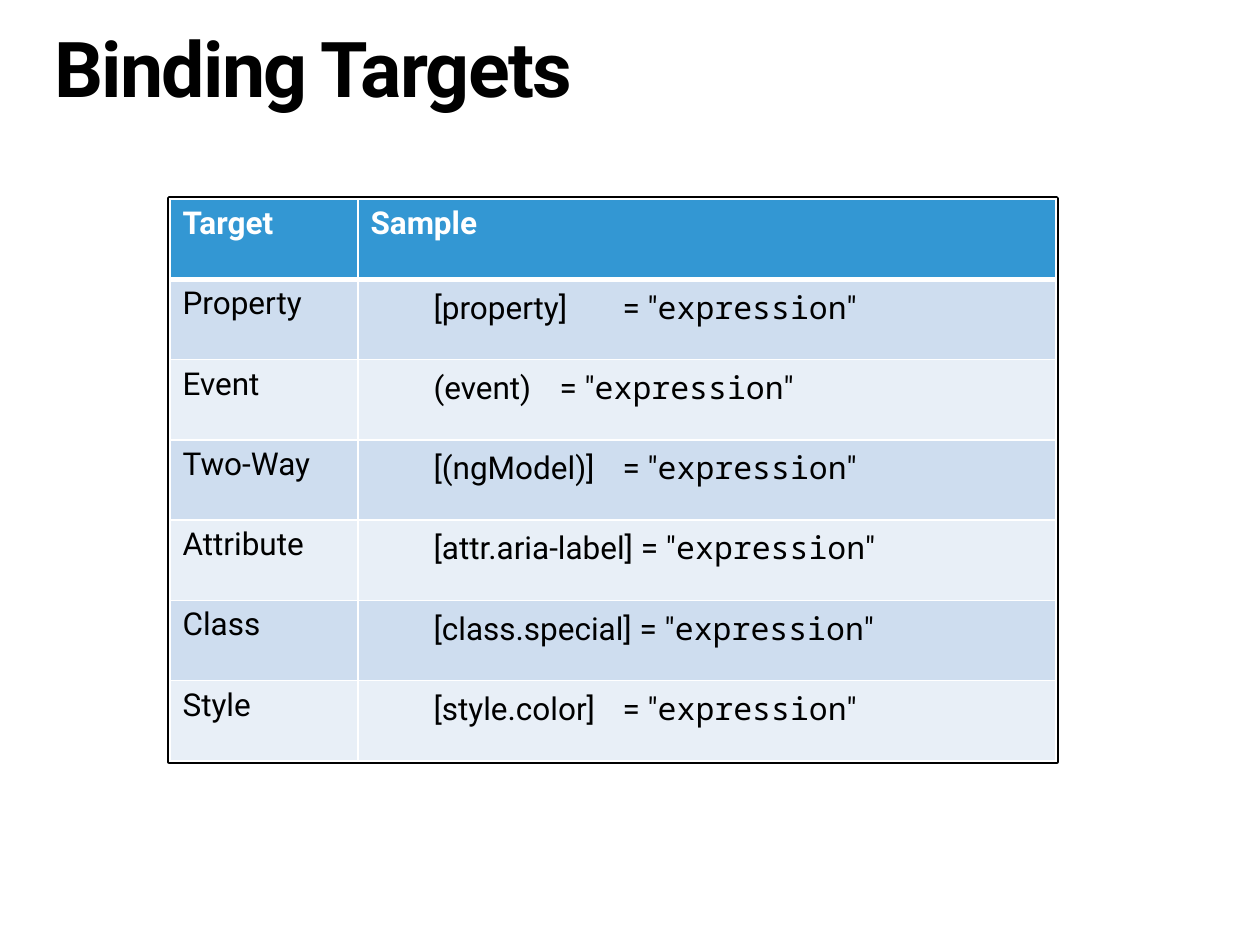
"""Build the Binding Targets slide."""
import pptx
import pptx.dml.color
import pptx.enum.shapes
import pptx.enum.text
import pptx.oxml.ns
import pptx.util
from lxml import etree

PIXELS_PER_INCH = 126
BLACK = pptx.dml.color.RGBColor(0x00, 0x00, 0x00)
WHITE = pptx.dml.color.RGBColor(0xFF, 0xFF, 0xFF)
HEADER_BLUE = pptx.dml.color.RGBColor(0x33, 0x97, 0xD3)
BAND_DARK = pptx.dml.color.RGBColor(0xCE, 0xDD, 0xEF)
BAND_LIGHT = pptx.dml.color.RGBColor(0xE8, 0xEF, 0xF7)
SANS = "Roboto"
MONO = "Noto Sans Mono"
COLUMN_WIDTHS = (188, 698)
SAMPLE_INDENT = 63
EQUALS_POSITION = 255
BINDINGS = (
    ("Property", "[property]\t"),
    ("Event", "(event)\t"),
    ("Two-Way", "[(ngModel)]\t"),
    ("Attribute", "[attr.aria-label] "),
    ("Class", "[class.special] "),
    ("Style", "[style.color]\t"),
)


def px(length):
    return pptx.util.Emu(round(length * 914400 / PIXELS_PER_INCH))


def add_child(parent, tag, **attributes):
    return etree.SubElement(parent, pptx.oxml.ns.qn(tag), attributes)


def set_font(font, size, color, bold=False):
    font.name = SANS
    font.size = pptx.util.Pt(size)
    font.bold = bold
    font.color.rgb = color


def add_title(slide, text):
    box = slide.shapes.add_textbox(px(54), px(31), px(1153), px(84))
    frame = box.text_frame
    frame.word_wrap = True
    frame.margin_left = frame.margin_right = 0
    frame.margin_top = frame.margin_bottom = 0
    frame.vertical_anchor = pptx.enum.text.MSO_ANCHOR.TOP
    paragraph = frame.paragraphs[0]
    paragraph.line_spacing = 0.9
    run = paragraph.add_run()
    run.text = text
    set_font(paragraph.font, 44, BLACK, True)
    run.font.bold = True
    run.font._element.set("spc", "-100")


def add_frame(slide):
    frame = slide.shapes.add_shape(
        pptx.enum.shapes.MSO_SHAPE.RECTANGLE, px(169), px(198), px(888), px(564))
    frame.shadow.inherit = False
    frame.fill.solid()
    frame.fill.fore_color.rgb = WHITE
    frame.line.color.rgb = BLACK
    frame.line.width = pptx.util.Pt(2)


def style_cell(cell, fill, top=1, bottom=1):
    properties = cell._tc.get_or_add_tcPr()
    widths = {"a:lnL": 1, "a:lnR": 1, "a:lnT": top, "a:lnB": bottom}
    for tag, width in widths.items():
        line = add_child(properties, tag, w=str(pptx.util.Pt(width)))
        add_child(add_child(line, "a:solidFill"), "a:srgbClr", val=str(WHITE))
    cell.fill.solid()
    cell.fill.fore_color.rgb = fill


def write_label(cell, text, color, bold=False):
    cell.text = text
    set_font(cell.text_frame.paragraphs[0].font, 18, color, bold)


def write_sample(cell, target):
    paragraph = cell.text_frame.paragraphs[0]
    set_font(paragraph.font, 18, BLACK)
    properties = paragraph._p.get_or_add_pPr()
    properties.set("marL", str(px(SAMPLE_INDENT)))
    properties.set("indent", "0")
    properties.set("lvl", "1")
    tabs = etree.Element(pptx.oxml.ns.qn("a:tabLst"))
    add_child(tabs, "a:tab", pos=str(px(EQUALS_POSITION)), algn="l")
    properties.insert(0, tabs)
    for text, name in ((target + '= "', SANS), ("expression", MONO), ('"', SANS)):
        run = paragraph.add_run()
        run.text = text
        run.font.name = name


def add_bindings_table(slide):
    shape = slide.shapes.add_table(
        len(BINDINGS) + 1, len(COLUMN_WIDTHS),
        px(170), px(199), px(sum(COLUMN_WIDTHS)), px(562))
    table = shape.table
    for column, width in zip(table.columns, COLUMN_WIDTHS):
        column.width = px(width)
    for column, heading in enumerate(("Target", "Sample")):
        cell = table.cell(0, column)
        write_label(cell, heading, WHITE, True)
        style_cell(cell, HEADER_BLUE, bottom=3)
    for row, (label, target) in enumerate(BINDINGS, 1):
        write_label(table.cell(row, 0), label, BLACK)
        write_sample(table.cell(row, 1), target)
        for cell in table.rows[row].cells:
            style_cell(cell, BAND_DARK if row % 2 else BAND_LIGHT,
                       top=3 if row == 1 else 1)


def main():
    presentation = pptx.Presentation()
    presentation.slide_width = px(1260)
    presentation.slide_height = px(945)
    slide = presentation.slides.add_slide(presentation.slide_layouts[6])
    add_title(slide, "Binding Targets")
    add_frame(slide)
    add_bindings_table(slide)
    presentation.save("out.pptx")


if __name__ == "__main__":
    main()
